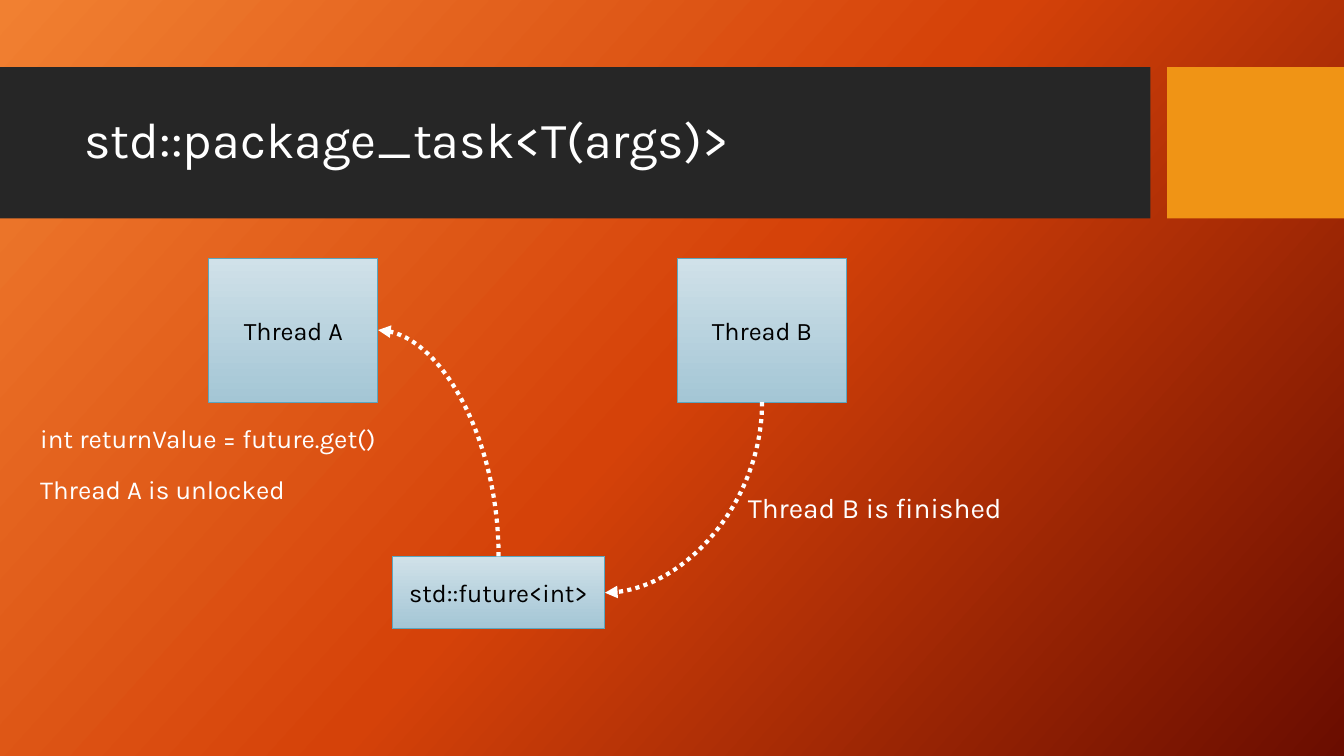
import copy
import pptx
import pptx.util
import pptx.dml.color
import pptx.enum.dml
import pptx.enum.shapes
import pptx.enum.text
import pptx.oxml
import pptx.oxml.ns

Pt = pptx.util.Pt
Rgb = pptx.dml.color.RGBColor.from_string
Align = pptx.enum.text.PP_ALIGN
Anchor = pptx.enum.text.MSO_ANCHOR
Rect = pptx.enum.shapes.MSO_SHAPE.RECTANGLE
qn = pptx.oxml.ns.qn

theme = {
    "font": "Karla", "white": "FFFFFF", "black": "000000",
    "band": "262626", "accent": "F09415", "edge": "5AA6C0",
    "back": [(0, "F18031"), (0.5, "D54209"), (1, "6A0D00")],
    "node": [(0, "D0E1E9"), (1, "A4C6D5")],
    "title": 36, "event": 20, "code": 18.5, "label": 18,
}

deck = pptx.Presentation()
deck.slide_width = pptx.util.Inches(13.33)
deck.slide_height = pptx.util.Inches(7.5)
# One column and one row are each a hundredth of the slide.
col, row = deck.slide_width / 100, deck.slide_height / 100
slide = deck.slides.add_slide(deck.slide_layouts[6])
shapes = slide.shapes


def blend(fill, root, stops, angle):
    """Give the first gradient under root these stops, at a clockwise angle."""
    fill.gradient()
    fill.gradient_angle = 360 - angle
    group = next(root.iter(qn("a:gsLst")))
    while len(group) < len(stops):
        group.append(copy.deepcopy(group[0]))
    for stop, (place, color) in zip(fill.gradient_stops, stops):
        stop.position = place
        stop.color.rgb = Rgb(color)


def write(shape, lines, size, color, form, anchor=Anchor.MIDDLE):
    """Write lines of text, with paragraph format values from a dict."""
    frame = shape.text_frame
    frame.word_wrap = True
    frame.vertical_anchor = anchor
    frame.text = "\n".join(lines)
    for para in frame.paragraphs:
        for key, value in form.items():
            setattr(para, key, value)
        for key, value in {"name": theme["font"], "size": Pt(size)}.items():
            setattr(para.font, key, value)
        para.font.color.rgb = Rgb(color)


blend(slide.background.fill, slide.element, theme["back"], 42)

# Title band and its accent block
for left, wide, color in [(0, 85.6, "band"), (86.85, 13.15, "accent")]:
    bar = shapes.add_shape(Rect, int(left * col), int(8.9 * row),
                           int(wide * col), int(20 * row))
    bar.shadow.inherit = False
    bar.fill.solid()
    bar.fill.fore_color.rgb = Rgb(theme[color])
    bar.line.fill.background()

# Title and notes beside the arrows
tight = {"line_spacing": 0.9}
code = {"line_spacing": 0.8, "space_after": Pt(18)}
texts = [
    (5.55, 10.93, 78.83, 15.73, ["std::package_task<T(args)>"],
     "title", tight, Anchor.MIDDLE),
    (54.9, 63.33, 23.85, 8, ["Thread B is finished"],
     "event", tight, Anchor.MIDDLE),
    (2.25, 56.1, 31.8, 15.6,
     ["int returnValue = future.get()", "Thread A is unlocked"],
     "code", code, Anchor.TOP),
]
for left, top, wide, high, lines, kind, form, anchor in texts:
    box = shapes.add_textbox(int(left * col), int(top * row),
                             int(wide * col), int(high * row))
    write(box, lines, theme[kind], theme["white"], form, anchor)

# Threads and the future they share
nodes = {}
for name, left, top, wide, high in [
    ("Thread A", 15.53, 34.13, 12.6, 19.07),
    ("Thread B", 50.4, 34.13, 12.6, 19.07),
    ("std::future<int>", 29.18, 73.6, 15.83, 9.6),
]:
    node = shapes.add_shape(Rect, int(left * col), int(top * row),
                            int(wide * col), int(high * row))
    node.shadow.inherit = False
    blend(node.fill, node.element, theme["node"], 90)
    node.line.color.rgb = Rgb(theme["edge"])
    node.line.width = Pt(0.75)
    write(node, [name], theme["label"], theme["black"],
          {"alignment": Align.CENTER})
    nodes[name] = node

# Dotted arrows: each leaves upright and arrives level, one quarter turn
for start, exit_side, end, entry, turn, flip in [
    ("std::future<int>", 0, "Thread A", 3, 270, "1"),
    ("Thread B", 2, "std::future<int>", 3, 90, "0"),
]:
    link = shapes.add_connector(pptx.enum.shapes.MSO_CONNECTOR.CURVE,
                                0, 0, 0, 0)
    link.begin_connect(nodes[start], exit_side)
    link.end_connect(nodes[end], entry)
    for key, value in {
        "width": Pt(3),
        "dash_style": pptx.enum.dml.MSO_LINE.ROUND_DOT,
    }.items():
        setattr(link.line, key, value)
    link.line.color.rgb = Rgb(theme["white"])

    wide, high = link.width, link.height
    mid_x, mid_y = link.left + wide // 2, link.top + high // 2
    for key, value in {"left": mid_x - high // 2, "top": mid_y - wide // 2,
                       "width": high, "height": wide}.items():
        setattr(link, key, value)
    props = link.element.spPr
    frame = props.find(qn("a:xfrm"))
    for key, value in {"rot": str(turn * 60000), "flipH": "0",
                       "flipV": flip}.items():
        frame.set(key, value)
    props.find(qn("a:prstGeom")).set("prst", "curvedConnector2")
    tip = pptx.oxml.parse_xml(
        '<a:tailEnd xmlns:a="http://schemas.openxmlformats.org/'
        'drawingml/2006/main" type="triangle"/>')
    props.find(qn("a:ln")).append(tip)
    props.append(props.makeelement(qn("a:effectLst"), {}))

deck.save("out.pptx")
